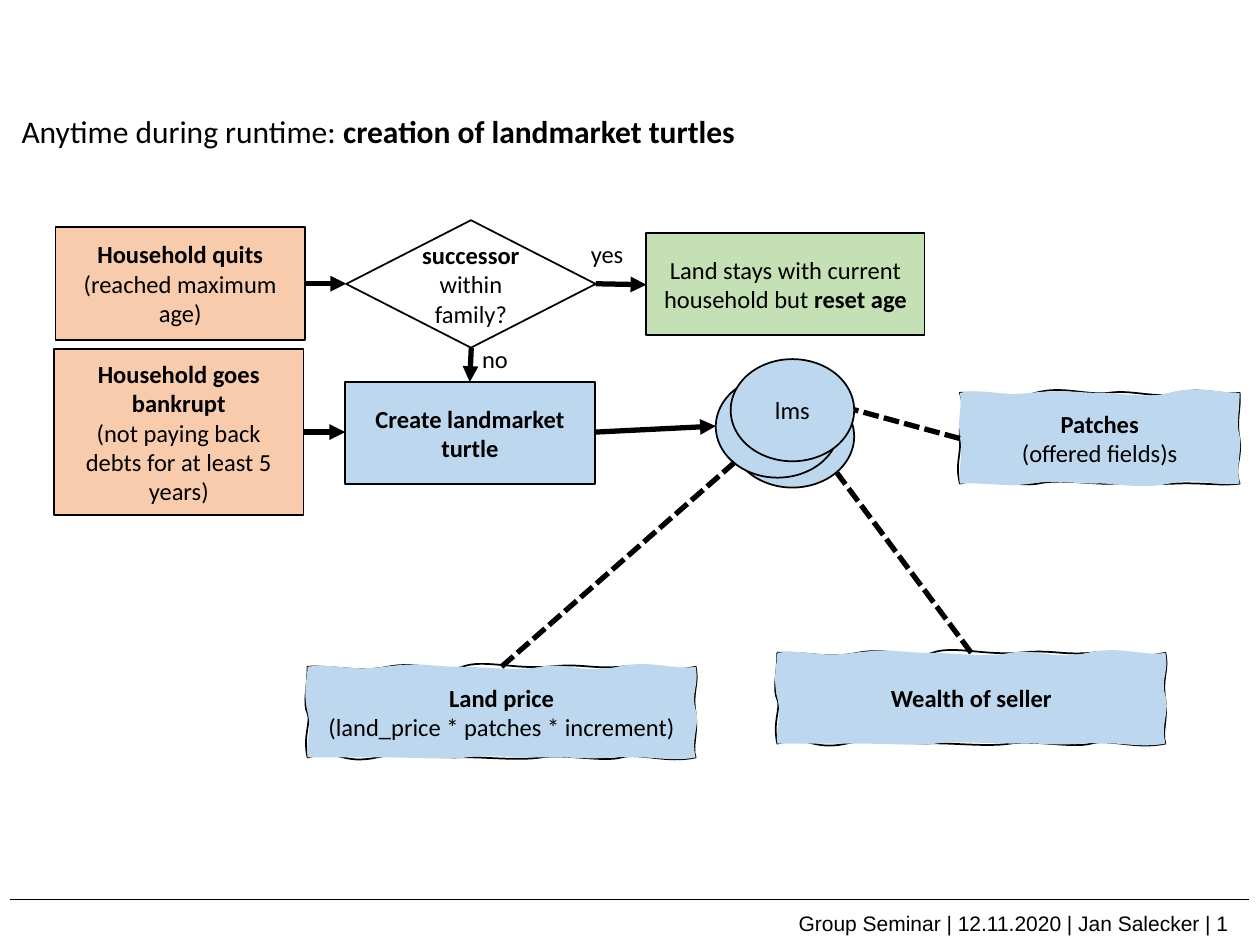
import pptx
import pptx.dml.color
import pptx.enum.dml
import pptx.enum.shapes
import pptx.enum.text
import pptx.oxml.ns
import pptx.util
from lxml import etree

Cm, Pt = pptx.util.Cm, pptx.util.Pt
qn = pptx.oxml.ns.qn
KIND = pptx.enum.shapes.MSO_SHAPE
ALIGN = pptx.enum.text.PP_ALIGN
ANCHOR = pptx.enum.text.MSO_ANCHOR

BLACK, WHITE = "000000", "FFFFFF"
PEACH, GREEN, BLUE = "F8CBAD", "C5E0B4", "BDD7EE"
BREAK = None

# Content: text parts are (words, bold); places are left, top, width, height in cm
TITLE = [("Anytime during runtime: ", False), ("creation of landmarket turtles", True)]
TITLE_BOX = (0.18, 2.13, 15.06, 1.02)

STEPS = [
    (KIND.RECTANGLE, PEACH, (1.09, 7.04, 5.03, 3.35),
     [("Household goes bankrupt", True), BREAK,
      ("(not paying back debts for at least 5 years)", False)]),
    (KIND.RECTANGLE, PEACH, (1.12, 4.57, 5.03, 2.29),
     [("Household quits", True), BREAK, ("(reached maximum age)", False)]),
    (KIND.FLOWCHART_DECISION, WHITE, (6.98, 4.44, 5.03, 2.57),
     [("successor", True), BREAK, ("within family?", False)]),
    (KIND.RECTANGLE, GREEN, (13.03, 4.7, 5.61, 2.06),
     [("Land stays with current household but ", False), ("reset age", True)]),
    (KIND.RECTANGLE, BLUE, (6.96, 7.7, 5.03, 2.06),
     [("Create landmarket", True), BREAK, ("turtle", True)]),
]

# Stack of turtles, back to front
STACK = [
    ((14.73, 7.77, 2.49, 2.06), []),
    ((14.43, 7.57, 2.49, 2.06), []),
    ((14.73, 7.24, 2.49, 2.06), [("lms", False)]),
]

LABELS = [
    ((11.66, 4.7, 1.17, 0.86), "yes", 14, "Calibri"),
    ((9.47, 6.81, 1.04, 0.86), "no", 14, "Calibri"),
    ((15.85, 18.24, 9.58, 0.76), "Group Seminar | 12.11.2020 | Jan Salecker | 1", 12, "Arial"),
]

# Lines: x1, y1, x2, y2 in cm
ARROWS = [
    (6.15, 5.72, 6.98, 5.72), (12.01, 5.72, 13.03, 5.74),
    (9.5, 7.01, 9.47, 7.7), (6.12, 8.71, 6.96, 8.71),
    (12.01, 8.71, 14.43, 8.59),
]
DASHES = [
    (10.11, 13.44, 14.81, 9.32), (19.58, 13.16, 16.87, 9.53),
    (19.35, 8.84, 17.22, 8.26),
]
RULE = (0.2, 18.14, 25.17, 18.14)

# Sketched outlines from (0, 0): each row is one curve, in units of 0.0254 cm
UNIT = Cm(0.0254)
WIDE = {
    "size": (308, 72),
    "edge": """24 -1 40 5 64 0, 89 -5 107 6 123 0, 139 -6 163 2 191 0,
        218 -3 224 2 249 0, 274 -2 281 6 308 0, 311 15 305 19 308 37,
        310 54 305 63 308 72, 285 77 263 68 249 72, 235 76 203 69 185 72,
        166 75 137 71 117 72, 97 72 83 66 55 72, 27 78 26 65 0 72,
        -4 55 3 44 0 37, -4 29 0 17 0 0""",
    "face": """22 -3 31 4 61 0, 92 -4 97 0 120 0, 143 0 165 4 185 0,
        204 -4 219 6 246 0, 273 -6 290 3 308 0, 311 16 304 21 308 34,
        312 46 304 56 308 72, 288 76 269 70 243 72, 217 74 204 71 188 72,
        171 72 138 70 126 72, 114 74 88 72 61 72, 34 72 24 72 0 72,
        -2 60 4 53 0 36, -4 18 0 9 0 0""",
}
SLIM = {
    "size": (222, 72),
    "edge": """29 -1 40 6 60 0, 81 -6 99 2 118 0, 137 -3 155 5 173 0,
        191 -5 206 2 222 0, 223 15 219 20 222 37, 224 55 217 58 222 72,
        207 74 191 71 171 72, 150 73 137 71 122 72, 107 73 79 68 62 72,
        45 75 19 66 0 72, -4 55 1 52 0 35, -1 18 5 15 0 0""",
    "face": """19 -4 31 3 56 0, 81 -3 96 0 109 0, 122 -1 147 5 166 0,
        185 -6 208 0 222 0, 222 16 219 24 222 34, 224 44 219 59 222 72,
        197 74 191 67 166 72, 142 77 122 71 107 72, 91 72 74 69 56 72,
        38 75 20 71 0 72, -2 64 3 51 0 35, -2 19 2 12 0 0""",
}
NOTES = [
    (WIDE, 6.2, 13.44, [("Land price", True), BREAK,
                        ("(land_price * patches * increment)", False)]),
    (SLIM, 19.35, 7.92, [("Patches", True), BREAK, ("(offered fields)s", False)]),
    (WIDE, 15.67, 13.16, [("Wealth of seller", True)]),
]


def paint(fill, color):
    fill.solid()
    fill.fore_color.rgb = pptx.dml.color.RGBColor.from_string(color)


def write(shape, parts, size=14, face="Calibri", align=ALIGN.CENTER,
          anchor=ANCHOR.MIDDLE, wrap=True):
    frame = shape.text_frame
    frame.word_wrap = wrap
    frame.vertical_anchor = anchor
    para = frame.paragraphs[0]
    para.alignment = align
    for part in parts:
        if part is BREAK:
            para.add_line_break()
            continue
        run = para.add_run()
        run.text, run.font.bold = part
        run.font.size, run.font.name = Pt(size), face
        paint(run.font.fill, BLACK)


def style(shape, color, parts):
    shape.shadow.inherit = False
    paint(shape.fill, color)
    paint(shape.line.fill, BLACK)
    shape.line.width = Pt(1)
    write(shape, parts)


def add_line(ends, width=3, dash=False, arrow=False):
    line = shapes.add_connector(pptx.enum.shapes.MSO_CONNECTOR.STRAIGHT, *map(Cm, ends))
    paint(line.line.fill, BLACK)
    line.line.width = Pt(width)
    if dash:
        line.line.dash_style = pptx.enum.dml.MSO_LINE.SQUARE_DOT
    props = line.element.spPr
    if arrow:
        etree.SubElement(props.find(qn("a:ln")), qn("a:tailEnd"), type="triangle")
    etree.SubElement(props, qn("a:effectLst"))


def add_path(paths, size, curves, **flags):
    wide, high = map(str, size)
    path = etree.SubElement(paths, qn("a:path"), w=wide, h=high, **flags)
    start = etree.SubElement(path, qn("a:moveTo"))
    etree.SubElement(start, qn("a:pt"), x="0", y="0")
    for row in curves.split(","):
        curve = etree.SubElement(path, qn("a:cubicBezTo"))
        nums = row.split()
        for x, y in zip(nums[::2], nums[1::2]):
            etree.SubElement(curve, qn("a:pt"), x=x, y=y)
    etree.SubElement(path, qn("a:close"))


def add_note(form, left, top, parts):
    wide, high = form["size"]
    pen = shapes.build_freeform(0, 0, scale=UNIT)
    pen.add_line_segments([(wide, 0), (wide, high), (0, high)])
    note = pen.convert_to_shape(Cm(left), Cm(top))
    # Curved outline first, then the fill over it
    paths = note.element.find(".//" + qn("a:pathLst"))
    paths.clear()
    add_path(paths, form["size"], form["edge"], fill="none")
    add_path(paths, form["size"], form["face"], stroke="0")
    style(note, BLUE, parts)


deck = pptx.Presentation()
deck.slide_width, deck.slide_height = Cm(25.4), Cm(19.05)
slide = deck.slides.add_slide(deck.slide_layouts[5])
shapes = slide.shapes

# Title
title = shapes.title
title.left, title.top, title.width, title.height = map(Cm, TITLE_BOX)
write(title, TITLE, 18, align=ALIGN.LEFT, anchor=ANCHOR.TOP, wrap=False)
title.text_frame.auto_size = pptx.enum.text.MSO_AUTO_SIZE.NONE

# Steps and turtles
for kind, color, box, parts in STEPS:
    style(shapes.add_shape(kind, *map(Cm, box)), color, parts)
group = shapes.add_group_shape()
for box, parts in STACK:
    style(group.shapes.add_shape(KIND.OVAL, *map(Cm, box)), BLUE, parts)

# Notes, lines and labels
for note in NOTES:
    add_note(*note)
for ends in ARROWS:
    add_line(ends, arrow=True)
for ends in DASHES:
    add_line(ends, dash=True)
add_line(RULE, width=0.5)
for box, words, size, face in LABELS:
    write(shapes.add_textbox(*map(Cm, box)), [(words, False)], size, face,
          ALIGN.LEFT, ANCHOR.TOP, False)

deck.save("out.pptx")
